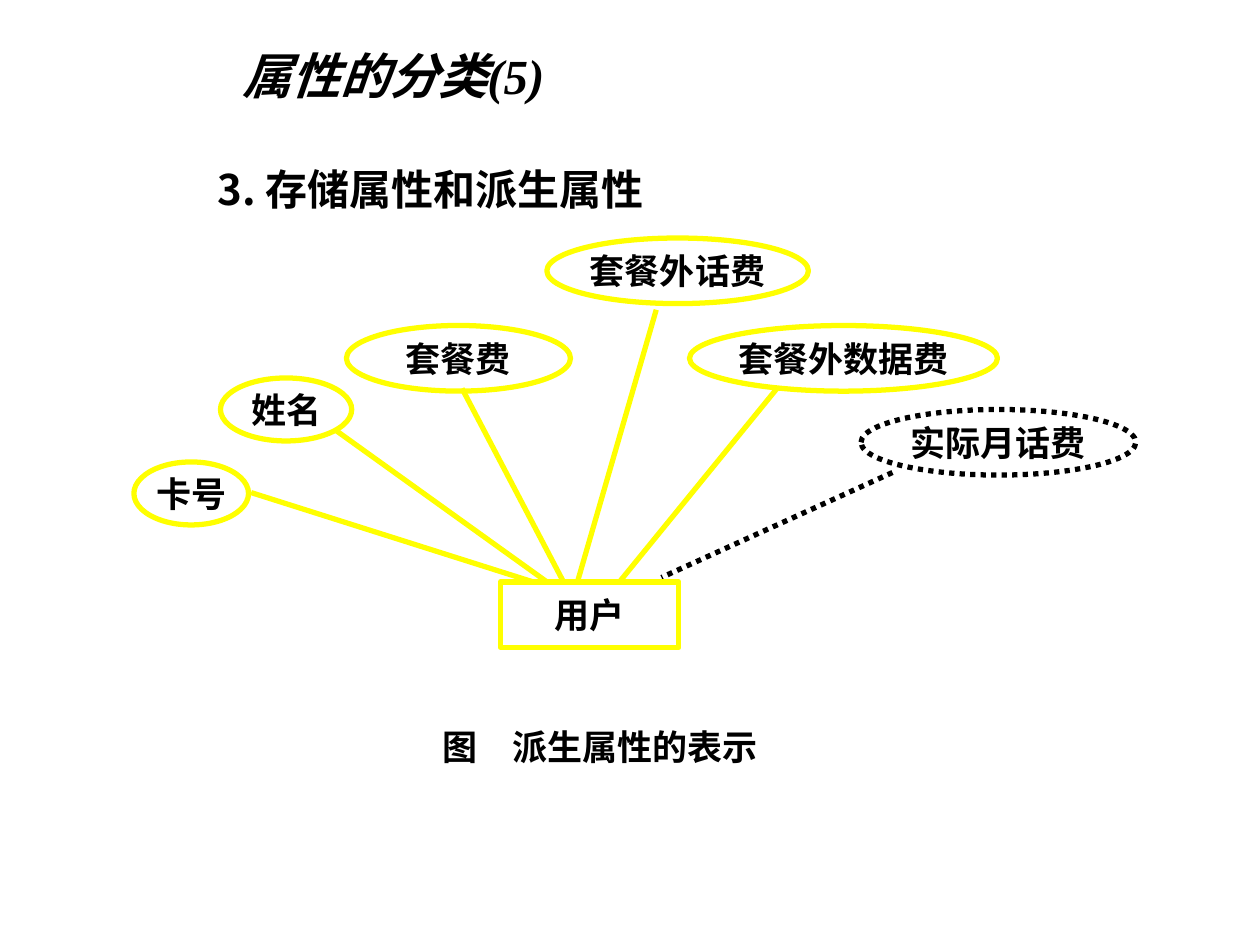
import pptx
import pptx.util
import pptx.dml.color
import pptx.enum.dml
import pptx.enum.shapes
import pptx.enum.text
import pptx.oxml.ns
import lxml.etree

Pt = pptx.util.Pt
SHAPE = pptx.enum.shapes.MSO_SHAPE
ANCHOR = pptx.enum.text.MSO_ANCHOR
ALIGN = pptx.enum.text.PP_ALIGN
DOTTED = pptx.enum.dml.MSO_LINE.ROUND_DOT
SERIF = "Times New Roman"
SANS = "Noto Sans CJK SC"
YELLOW = "FFFF00"
BLACK = "000000"


def color(value):
    return pptx.dml.color.RGBColor.from_string(value)


def set_attrs(target, values):
    for name, value in values.items():
        setattr(target, name, value)


def write(sp, text, size=20, font=SERIF, align=ALIGN.CENTER,
          anchor=ANCHOR.MIDDLE, margins=(0, 0, 0, 0), italic=False):
    tf = sp.text_frame
    left, top, right, bottom = map(Pt, margins)
    set_attrs(tf, {"word_wrap": True, "vertical_anchor": anchor,
                   "auto_size": pptx.enum.text.MSO_AUTO_SIZE.NONE,
                   "margin_left": left, "margin_top": top,
                   "margin_right": right, "margin_bottom": bottom})
    p = tf.paragraphs[0]
    p.alignment = align
    r = p.add_run()
    r.text = text
    set_attrs(r.font, {"name": font, "size": Pt(size), "bold": True, "italic": italic})
    r.font.color.rgb = color(BLACK)
    ea = lxml.etree.SubElement(r.font._element, pptx.oxml.ns.qn("a:ea"))
    ea.set("typeface", SANS)


def format_line(line, derived):
    line.color.rgb = color(BLACK if derived else YELLOW)
    line.width = Pt(3)
    if derived:
        line.dash_style = DOTTED


def add_title(s, text, box):
    sp = s.shapes.title
    set_attrs(sp, dict(zip(("left", "top", "width", "height"), map(Pt, box))))
    write(sp, text, size=28, align=ALIGN.LEFT, anchor=ANCHOR.BOTTOM,
          margins=(14.2, 3.6, 7.2, 3.6), italic=True)


def add_text(s, text, box, **style):
    write(s.shapes.add_textbox(*map(Pt, box)), text, **style)


def add_node(s, kind, text, box, derived=False):
    sp = s.shapes.add_shape(kind, *map(Pt, box))
    sp.shadow.inherit = False
    sp.fill.background()
    format_line(sp.line, derived)
    write(sp, text)


def add_link(s, ends, derived=False):
    link = s.shapes.add_connector(pptx.enum.shapes.MSO_CONNECTOR.STRAIGHT, *map(Pt, ends))
    format_line(link.line, derived)
    lxml.etree.SubElement(link._element.spPr, pptx.oxml.ns.qn("a:effectLst"))


def main():
    prs = pptx.Presentation()
    set_attrs(prs, {"slide_width": Pt(720), "slide_height": Pt(540)})
    s = prs.slides.add_slide(prs.slide_layouts[5])

    add_title(s, "属性的分类(5)", (124.5, 15, 554.5, 48))
    add_text(s, "3. 存储属性和派生属性", (117.5, 90, 476.5, 60), size=24, font=SANS,
             align=ALIGN.JUSTIFY, anchor=ANCHOR.TOP, margins=(7.2, 3.6, 7.2, 3.6))

    attributes = [
        ("卡号", (76.5, 264, 65.5, 36), (143.5, 281.5, 304.5, 332.5), False),
        ("姓名", (126, 216, 75, 36), (192, 246, 312.5, 332.5), False),
        ("套餐费", (198, 186, 128, 37.5), (264, 222, 322, 332.5), False),
        ("套餐外话费", (312.5, 136, 149.5, 37.5), (375, 177, 330, 332.5), False),
        ("套餐外数据费", (394, 186, 176, 37.5), (444, 222, 354, 332.5), False),
        ("实际月话费", (492, 234, 157, 37.5), (510, 270, 378, 330), True),
    ]
    for text, box, ends, derived in attributes:
        add_node(s, SHAPE.OVAL, text, box, derived)
        add_link(s, ends, derived)
    add_node(s, SHAPE.RECTANGLE, "用户", (286, 332.5, 102, 37.5))

    add_text(s, "图　派生属性的表示", (178, 408, 330, 37.5))
    prs.save("out.pptx")


if __name__ == "__main__":
    main()
